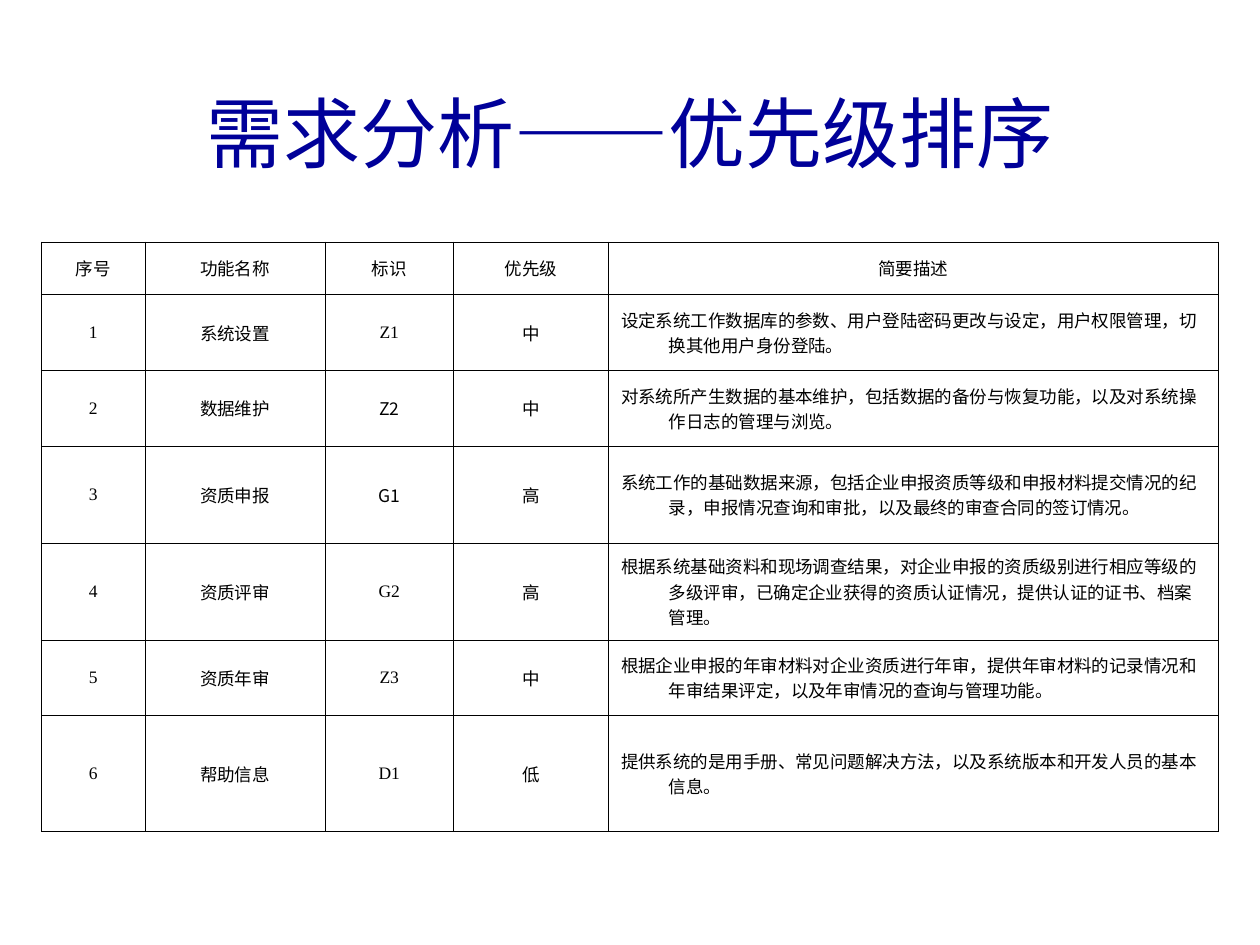
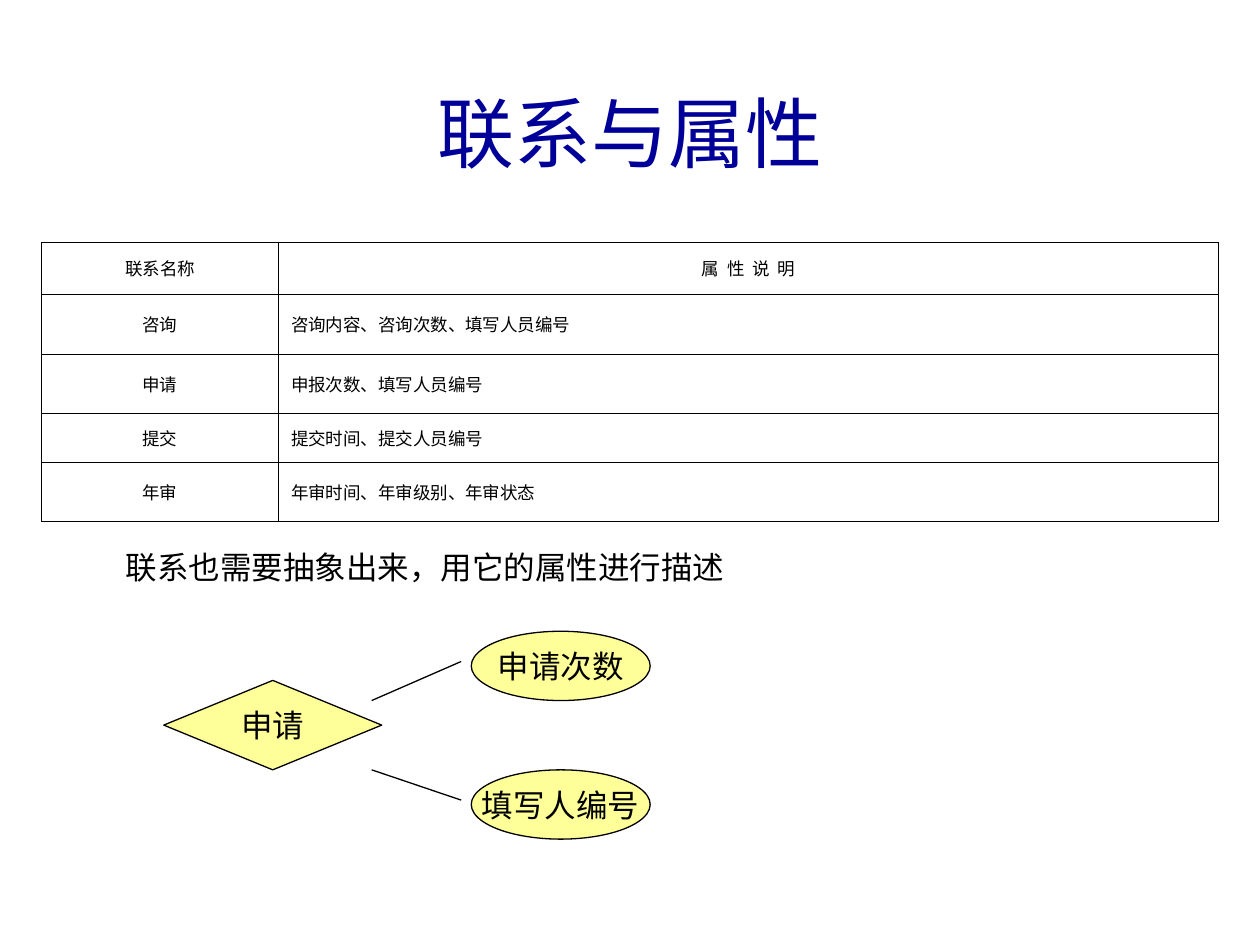
import pptx
import pptx.dml.color
import pptx.enum.shapes
import pptx.enum.text
import pptx.oxml.ns
import pptx.util
from lxml import etree

Inches = pptx.util.Inches
Pt = pptx.util.Pt
qn = pptx.oxml.ns.qn
ALIGN = pptx.enum.text.PP_ALIGN
MIDDLE = pptx.enum.text.MSO_ANCHOR.MIDDLE
SHAPE = pptx.enum.shapes.MSO_SHAPE

NAVY, BLACK, YELLOW, WHITE = "000099", "000000", "FFFF99", "FFFFFF"
ARIAL, SERIF, CJK = "Arial", "Times New Roman", "Noto Sans CJK SC"
LEFT, TABLE_TOP, WIDTH = 0.33, 1.92, 9.34

PRIORITY_TITLE = "需求分析——优先级排序"
PRIORITY_ROWS = [
    ("序号", "功能名称", "标识", "优先级", "简要描述"),
    ("1", "系统设置", "Z1", "中",
     "设定系统工作数据库的参数、用户登陆密码更改与设定，用户权限管理，切换其他用户身份登陆。"),
    ("2", "数据维护", "Z2", "中",
     "对系统所产生数据的基本维护，包括数据的备份与恢复功能，以及对系统操作日志的管理与浏览。"),
    ("3", "资质申报", "G1", "高",
     "系统工作的基础数据来源，包括企业申报资质等级和申报材料提交情况的纪录，申报情况查询和审批，以及最终的审查合同的签订情况。"),
    ("4", "资质评审", "G2", "高",
     "根据系统基础资料和现场调查结果，对企业申报的资质级别进行相应等级的多级评审，已确定企业获得的资质认证情况，提供认证的证书、档案管理。"),
    ("5", "资质年审", "Z3", "中",
     "根据企业申报的年审材料对企业资质进行年审，提供年审材料的记录情况和年审结果评定，以及年审情况的查询与管理功能。"),
    ("6", "帮助信息", "D1", "低",
     "提供系统的是用手册、常见问题解决方法，以及系统版本和开发人员的基本信息。"),
]
PRIORITY_COLS = [0.82, 1.43, 1.02, 1.23, 4.84]
PRIORITY_HEIGHTS = [0.42, 0.6, 0.6, 0.77, 0.77, 0.6, 0.92]
PRIORITY_CJK_CELLS = {(2, 2), (2, 3), (2, 4), (3, 2), (3, 3)}

RELATION_TITLE = "联系与属性"
RELATION_ROWS = [
    ("联系名称", "属  性  说  明"),
    ("咨询", "咨询内容、咨询次数、填写人员编号"),
    ("申请", "申报次数、填写人员编号"),
    ("提交", "提交时间、提交人员编号"),
    ("年审", "年审时间、年审级别、年审状态"),
]
RELATION_COLS = [1.88, 7.46]
RELATION_HEIGHTS = [0.42, 0.47, 0.47, 0.39, 0.47]
RELATION_NOTE = "联系也需要抽象出来，用它的属性进行描述"
NODES = [
    ("申请", SHAPE.DIAMOND, (1.3, 5.4, 1.73, 0.71)),
    ("申请次数", SHAPE.OVAL, (3.74, 5.01, 1.42, 0.55)),
    ("填写人编号", SHAPE.OVAL, (3.74, 6.11, 1.42, 0.55)),
]
LINKS = [(2.95, 5.56, 3.66, 5.25), (2.95, 6.11, 3.66, 6.35)]


def rgb(color):
    return pptx.dml.color.RGBColor.from_string(color)


def inches(values):
    return [Inches(v) for v in values]


def write(tf, text, size, font, color=BLACK, align=ALIGN.LEFT):
    p = tf.paragraphs[0]
    p.text = text
    p.alignment = align
    p.font.size = Pt(size)
    p.font.color.rgb = rgb(color)
    p.font.name = font
    ea = etree.SubElement(p._p.pPr.find(qn("a:defRPr")), qn("a:ea"))
    ea.set("typeface", CJK)
    return p


def add_text(slide, box, text, size, color=BLACK, align=ALIGN.LEFT):
    tf = slide.shapes.add_textbox(*inches(box)).text_frame
    tf.word_wrap = True
    return tf, write(tf, text, size, ARIAL, color, align)


def add_slide(prs, title):
    slide = prs.slides.add_slide(prs.slide_layouts[6])
    slide.background.fill.solid()
    slide.background.fill.fore_color.rgb = rgb(WHITE)
    tf, p = add_text(slide, (LEFT, 0.42, WIDTH, 1.25), title, 44, NAVY, ALIGN.CENTER)
    tf.vertical_anchor = MIDDLE
    return slide


def add_borders(cell):
    tc_pr = cell._tc.get_or_add_tcPr()
    for side in ("lnL", "lnR", "lnT", "lnB"):
        ln = etree.SubElement(tc_pr, qn("a:" + side), w=str(Pt(0.45)))
        fill = etree.SubElement(ln, qn("a:solidFill"))
        etree.SubElement(fill, qn("a:srgbClr"), val=BLACK)


def add_grid(slide, rows, cols, heights, body_font, cjk_cells=()):
    box = inches((LEFT, TABLE_TOP, WIDTH, sum(heights)))
    table = slide.shapes.add_table(len(rows), len(cols), *box).table
    table.first_row = table.horz_banding = False
    for column, width in zip(table.columns, cols):
        column.width = Inches(width)
    for i, (row, height) in enumerate(zip(rows, heights)):
        table.rows[i].height = Inches(height)
        for j, text in enumerate(row):
            cell = table.cell(i, j)
            cell.vertical_anchor = MIDDLE
            add_borders(cell)
            cell.fill.background()
            is_description = i > 0 and j == len(row) - 1
            font = CJK if i == 0 or (i, j) in cjk_cells else body_font
            p = write(cell.text_frame, text, 10, font,
                      align=ALIGN.LEFT if is_description else ALIGN.CENTER)
            p._p.pPr.set("marL", str(Inches(0.38)))
            p._p.pPr.set("indent", str(-Inches(0.38)))


def add_node(slide, text, kind, box):
    sp = slide.shapes.add_shape(kind, *inches(box))
    sp.shadow.inherit = False
    sp.fill.solid()
    sp.fill.fore_color.rgb = rgb(YELLOW)
    sp.line.color.rgb = rgb(BLACK)
    sp.line.width = Pt(0.75)
    tf = sp.text_frame
    tf.word_wrap = False
    tf.vertical_anchor = MIDDLE
    write(tf, text, 18, ARIAL, align=ALIGN.CENTER)


def add_link(slide, ends):
    line = slide.shapes.add_connector(
        pptx.enum.shapes.MSO_CONNECTOR.STRAIGHT, *inches(ends))
    line.line.color.rgb = rgb(BLACK)
    line.line.width = Pt(0.75)
    etree.SubElement(line._element.spPr, qn("a:effectLst"))


def main():
    prs = pptx.Presentation()
    prs.slide_width, prs.slide_height = inches((10, 7.5))

    slide = add_slide(prs, PRIORITY_TITLE)
    add_grid(slide, PRIORITY_ROWS, PRIORITY_COLS, PRIORITY_HEIGHTS, SERIF,
             PRIORITY_CJK_CELLS)

    slide = add_slide(prs, RELATION_TITLE)
    add_grid(slide, RELATION_ROWS, RELATION_COLS, RELATION_HEIGHTS, CJK)
    tf, p = add_text(slide, (0.9, 4.3, 7.8, 0.4), RELATION_NOTE, 18)
    tf.auto_size = pptx.enum.text.MSO_AUTO_SIZE.SHAPE_TO_FIT_TEXT
    p.space_before = Pt(11.2)
    for node in NODES:
        add_node(slide, *node)
    for ends in LINKS:
        add_link(slide, ends)

    prs.save("out.pptx")


if __name__ == "__main__":
    main()
